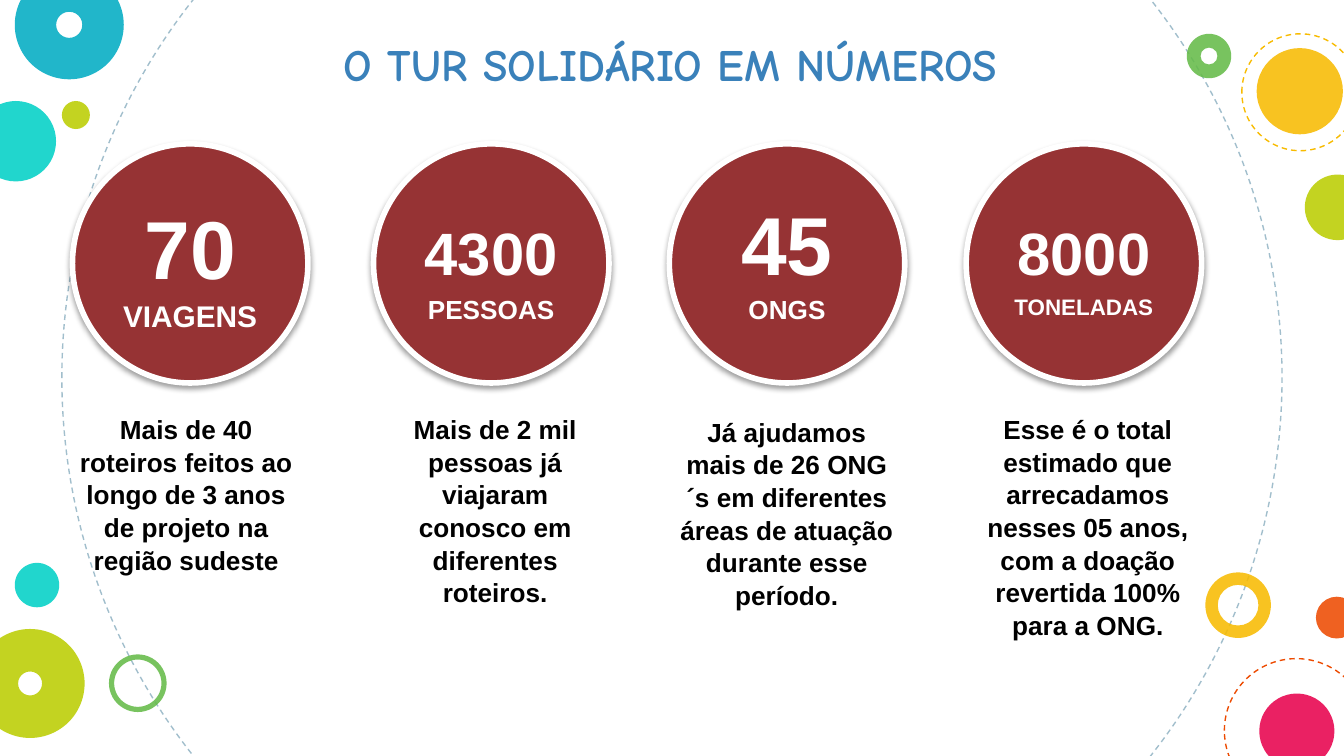
from pptx import Presentation
from pptx import util as u
from pptx.dml import color
from pptx.enum import dml, shapes, text
from pptx.oxml import parse_xml, ns

FONT = "Arial"
WHITE, BLACK, BLUE, MAROON = "FFFFFF", "000000", "3A81BA", "963334"
TITLE = "O TUR SOLIDÁRIO EM NÚMEROS"

# Decoration: left, top, diameter (cm), colour, ring thickness
RINGS = [
    (22.78, 10.82, 1.24, "F8BB00", 0.19),
    (0.28, -0.56, 2.06, "00ACC3", 0.38),
    (2.06, 12.37, 1.09, "65BB48", 0.09),
    (-0.46, 11.89, 2.06, "BBCD00", 0.39),
    (22.43, 0.64, 0.84, "65BB48", 0.31),
]
DOTS = [
    (-0.46, 1.91, 1.52, "00D1C6"),
    (1.17, 1.91, 0.53, "BBCD00"),
    (24.87, 11.28, 0.79, "ED4A00"),
    (23.8, 13.11, 1.42, "E8004C"),
    (23.75, 0.91, 1.63, "F8BB00"),
    (24.66, 3.3, 1.24, "BBCD00"),
    (0.28, 10.64, 0.84, "00D1C6"),
]
DASHED = [
    (1.17, -4.39, 23.06, "A1BECC"),
    (23.14, 12.45, 2.72, "ED4A00"),
    (23.47, 0.64, 2.21, "F8BB00"),
]

MIDDLE, TOP = text.MSO_ANCHOR.MIDDLE, text.MSO_ANCHOR.TOP
# Circle left, anchor, (text, size) spans, caption left, top, height, caption
FIGURES = [
    (1.37, MIDDLE, [("70 ", 44), ("VIAGENS", 16)], 1.22, 7.67, 3.25,
     "Mais de 40 roteiros feitos ao longo de 3 anos de projeto na região sudeste"),
    (7.06, TOP, [("4300", 32), (" ", 44), ("PESSOAS", 14)], 7.06, 7.67, 3.84,
     "Mais de 2 mil pessoas já viajaram conosco em diferentes roteiros."),
    (12.65, TOP, [("45 ", 44), ("ONGS", 14)], 12.57, 7.72, 4.45,
     "Já ajudamos mais de 26 ONG´s em diferentes áreas de atuação durante esse período."),
    (18.26, TOP, [("8000", 32), (" ", 44), ("TONELADAS", 12)], 18.26, 7.67, 4.45,
     "Esse é o total estimado que arrecadamos nesses 05 anos, com a doação "
     "revertida 100% para a ONG."),
]
CIRCLE_TOP, CIRCLE_WIDTH, CIRCLE_HEIGHT = 2.72, 4.45, 4.52
CAPTION_WIDTH = 4.6


def rgb(value):
    return color.RGBColor.from_string(value)


def add_round(page, kind, left, top, width, height, fill=None, line=None, weight=0.75):
    shape = page.shapes.add_shape(kind, *map(u.Cm, (left, top, width, height)))
    shape.shadow.inherit = False
    if fill:
        shape.fill.solid()
        shape.fill.fore_color.rgb = rgb(fill)
    else:
        shape.fill.background()
    if line:
        shape.line.color.rgb = rgb(line)
        shape.line.width = u.Pt(weight)
    else:
        shape.line.fill.background()
    return shape


def make_translucent(shape):
    for tint in shape._element.spPr.xpath("./a:solidFill/a:srgbClr"):
        tint.append(parse_xml(f'<a:alpha {ns.nsdecls("a")} val="87000"/>'))


def add_shadow(shape):
    effects = shape._element.spPr.xpath("./a:effectLst")[0]
    effects.append(parse_xml(
        f'<a:outerShdw {ns.nsdecls("a")} blurRad="{u.Pt(3.1)}" dist="{u.Pt(1.6)}" '
        'dir="5400000" rotWithShape="0"><a:srgbClr val="000000">'
        '<a:alpha val="38000"/></a:srgbClr></a:outerShdw>'))


def write(box, spans, tint, anchor=TOP, font=FONT):
    """Fill a shape with one centred bold paragraph of (text, size) spans."""
    frame = box.text_frame
    frame.word_wrap = True
    frame.auto_size = text.MSO_AUTO_SIZE.NONE
    frame.vertical_anchor = anchor
    para = frame.paragraphs[0]
    para.alignment = text.PP_ALIGN.CENTER
    para.line_spacing = 1.04
    para.space_before = u.Pt(0)
    for words, size in spans:
        span = para.add_run()
        span.text = words
        span.font.name = font
        span.font.size = u.Pt(size)
        span.font.bold = True
        span.font.color.rgb = rgb(tint)
    return frame


def add_decoration(page):
    for left, top, size, tint in DASHED:
        circle = add_round(page, shapes.MSO_SHAPE.OVAL, left, top, size, size, line=tint)
        circle.line.dash_style = dml.MSO_LINE.DASH
    for left, top, size, tint in DOTS:
        make_translucent(add_round(page, shapes.MSO_SHAPE.OVAL, left, top, size, size, tint))
    for left, top, size, tint, thickness in RINGS:
        ring = add_round(page, shapes.MSO_SHAPE.DONUT, left, top, size, size, tint)
        ring.adjustments[0] = thickness
        make_translucent(ring)


def add_title(page):
    title = page.shapes.title
    title.left, title.top, title.width, title.height = map(u.Cm, (4.85, 0.53, 16.18, 1.27))
    frame = write(title, [(TITLE, 24)], BLUE, font="Comic Neue")
    frame.margin_right = u.Cm(0.8)


def add_figures(page):
    for left, anchor, spans, caption_left, caption_top, caption_height, caption in FIGURES:
        circle = add_round(page, shapes.MSO_SHAPE.OVAL, left, CIRCLE_TOP,
                           CIRCLE_WIDTH, CIRCLE_HEIGHT, MAROON, WHITE, 3)
        add_shadow(circle)
        frame = write(circle, spans, WHITE, anchor)
        frame.margin_left = frame.margin_right = u.Cm(0.13)
        frame.margin_top = frame.margin_bottom = u.Cm(0.2)
        box = page.shapes.add_textbox(
            *map(u.Cm, (caption_left, caption_top, CAPTION_WIDTH, caption_height)))
        write(box, [(caption, 14)], BLACK)


def main():
    deck = Presentation()
    deck.slide_width, deck.slide_height = u.Cm(25.4), u.Cm(14.29)
    page = deck.slides.add_slide(deck.slide_layouts.get_by_name("Title Only"))
    add_decoration(page)
    add_title(page)
    add_figures(page)
    deck.save("out.pptx")


if __name__ == "__main__":
    main()
